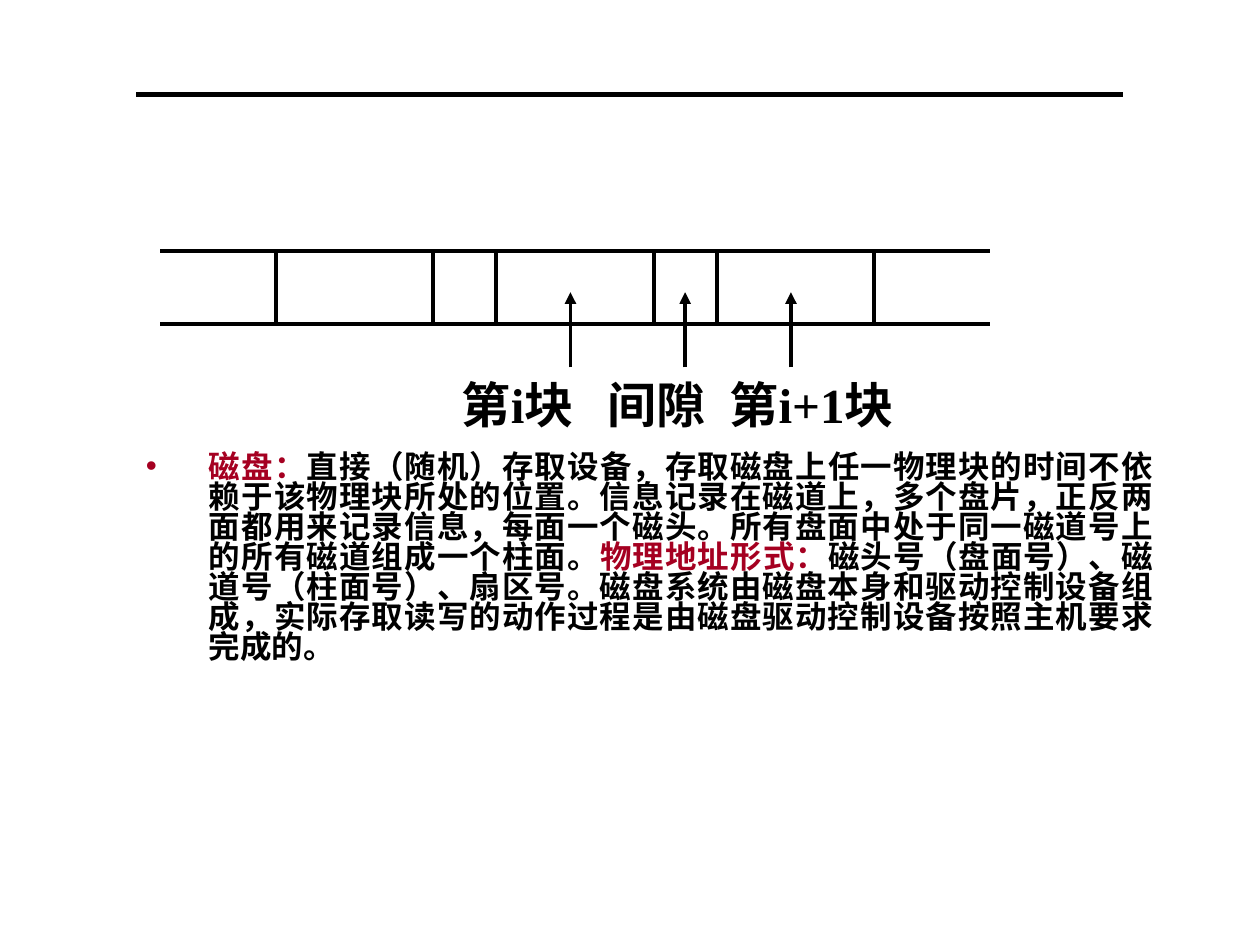
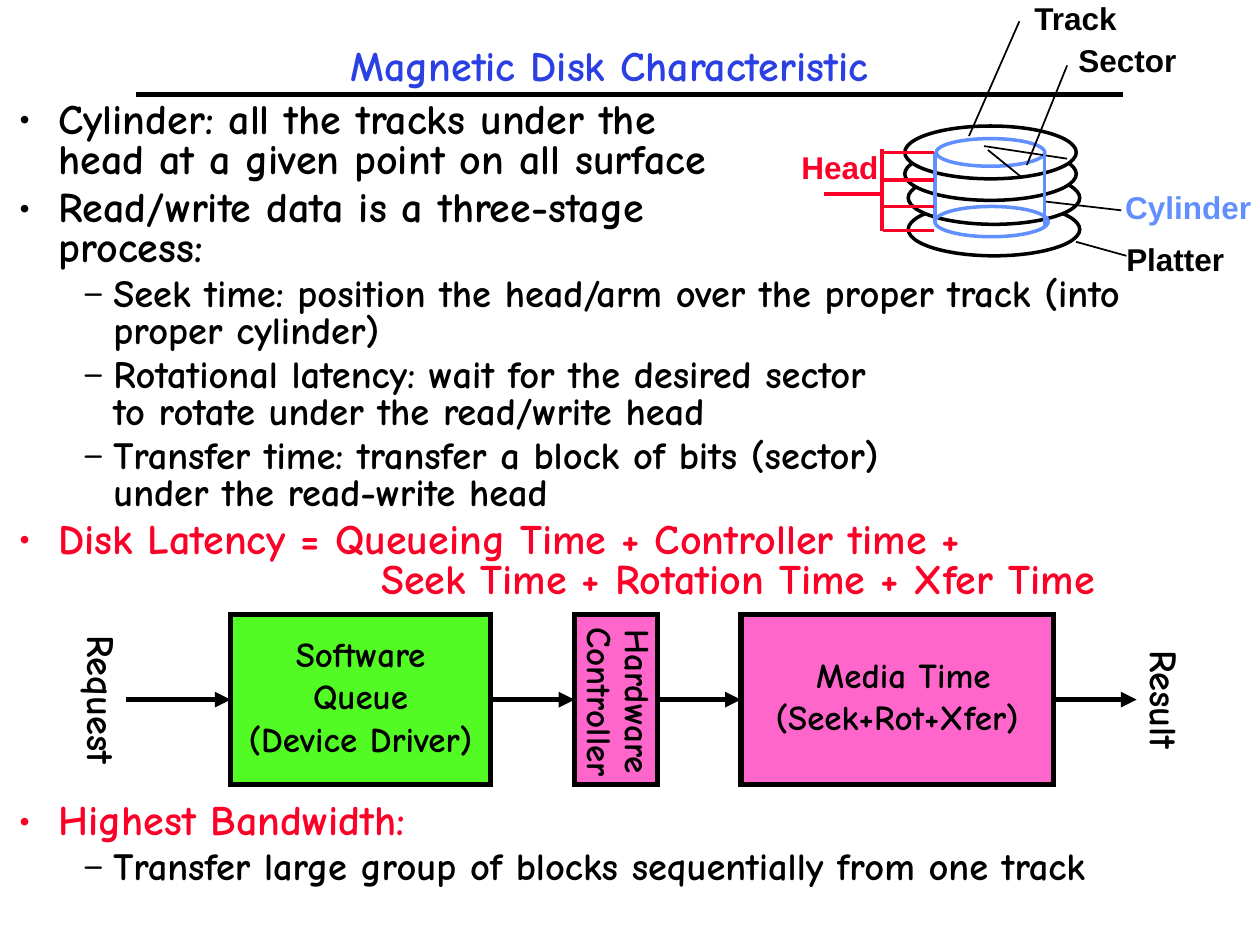
from dataclasses import dataclass
from itertools import pairwise

from lxml import etree
from pptx import Presentation
from pptx import util as u
from pptx.dml.color import RGBColor
from pptx.enum import shapes, text
from pptx.oxml.ns import qn

Pt = u.Pt
ALIGN = text.PP_ALIGN

COLORS = {
    "ink": "000000", "paper": "FFFFFF", "crimson": "A50021", "title": "2A40E2",
    "red": "FC0128", "cylinder": "618FFD", "green": "53FB25", "pink": "FF66CC",
}
COMIC, CJK, SERIF, SANS = "Comic Neue", "Noto Sans CJK SC", "Times New Roman", "Arial"
WIDE_INSETS = (7.2, 3.6)
TIGHT_INSETS = (5, 2.5)


@dataclass(frozen=True)
class Box:
    left: float
    top: float
    width: float
    height: float

    def lengths(self) -> tuple:
        return Pt(self.left), Pt(self.top), Pt(self.width), Pt(self.height)


@dataclass(frozen=True)
class Line:
    start: tuple[float, float]
    end: tuple[float, float]
    color: str = "ink"
    weight: float = 1
    arrow: bool = False


@dataclass(frozen=True)
class Paragraph:
    runs: tuple[tuple[str, str], ...]  # (wording, color name)
    size: float
    font: str = COMIC
    align: ALIGN = ALIGN.LEFT
    spacing: float | u.Length = 0.8
    before: float = 0
    bullet: str = ""
    bullet_color: str = "ink"
    bullet_font: str = COMIC
    margin: float = 0
    hanging: float = 0
    tab: float = 0


@dataclass(frozen=True)
class Label:
    wording: str
    box: Box
    color: str = "ink"


@dataclass(frozen=True)
class Pointer:
    wording: str
    arrow_x: float
    left: float
    width: float


@dataclass(frozen=True)
class Stage:
    lines: tuple[str, ...]
    left: float
    width: float
    fill: str
    vertical: bool = False


def rgb(name: str) -> RGBColor:
    return RGBColor.from_string(COLORS[name])


def add_line(slide, line: Line):
    connector = slide.shapes.add_connector(
        shapes.MSO_CONNECTOR.STRAIGHT, *(Pt(value) for value in line.start + line.end))
    connector.line.color.rgb = rgb(line.color)
    connector.line.width = Pt(line.weight)
    properties = connector._element.find(qn("p:spPr"))
    if line.arrow:
        etree.SubElement(properties.find(qn("a:ln")), qn("a:tailEnd"), type="triangle")
    etree.SubElement(properties, qn("a:effectLst"))
    return connector


def add_shape(slide, kind, box: Box, fill: str = "", color: str = "ink", weight: float = 2):
    shape = slide.shapes.add_shape(kind, *box.lengths())
    shape.shadow.inherit = False
    if fill:
        shape.fill.solid()
        shape.fill.fore_color.rgb = rgb(fill)
    else:
        shape.fill.background()
    shape.line.color.rgb = rgb(color)
    shape.line.width = Pt(weight)
    outline = shape._element.find(qn("p:spPr")).find(qn("a:ln"))
    etree.SubElement(outline, qn("a:miter"), lim="800000")
    return shape


def add_run(paragraph, wording: str, color: str, style: Paragraph) -> None:
    run = paragraph.add_run()
    run.text = wording
    run.font.size = Pt(style.size)
    run.font.bold = True
    run.font.name = style.font
    run.font.color.rgb = rgb(color)
    east_asian = CJK if style.font == SERIF else style.font
    etree.SubElement(run._r.get_or_add_rPr(), qn("a:ea"), typeface=east_asian)


def write(shape, paragraphs: list[Paragraph], insets=TIGHT_INSETS, wrap=True,
          anchor=text.MSO_ANCHOR.TOP) -> None:
    frame = shape.text_frame
    frame.word_wrap = wrap
    frame.vertical_anchor = anchor
    frame.margin_left = frame.margin_right = Pt(insets[0])
    frame.margin_top = frame.margin_bottom = Pt(insets[1])
    for index, style in enumerate(paragraphs):
        paragraph = frame.add_paragraph() if index else frame.paragraphs[0]
        paragraph.alignment = style.align
        paragraph.line_spacing = style.spacing
        paragraph.space_before = Pt(style.before)
        properties = paragraph._p.get_or_add_pPr()
        properties.set("marL", str(Pt(style.margin)))
        properties.set("indent", str(Pt(-style.hanging)))
        if style.bullet:
            color = etree.SubElement(properties, qn("a:buClr"))
            etree.SubElement(color, qn("a:srgbClr"), val=COLORS[style.bullet_color])
            etree.SubElement(properties, qn("a:buFont"), typeface=style.bullet_font)
            etree.SubElement(properties, qn("a:buChar"), char=style.bullet)
        if style.tab:
            tabs = etree.SubElement(properties, qn("a:tabLst"))
            etree.SubElement(tabs, qn("a:tab"), pos=str(Pt(style.tab)), algn="l")
        for wording, color in style.runs:
            for part_index, part in enumerate(wording.split("\n")):
                if part_index:
                    paragraph.add_line_break()
                add_run(paragraph, part, color, style)


def add_text(slide, box: Box, paragraphs: list[Paragraph], insets=TIGHT_INSETS, wrap=True,
             anchor=text.MSO_ANCHOR.TOP):
    shape = slide.shapes.add_textbox(*box.lengths())
    write(shape, paragraphs, insets, wrap, anchor)
    return shape


def add_page(presentation):
    """Blank slide with the shared rule under the title area."""
    slide = presentation.slides.add_slide(presentation.slide_layouts[6])
    add_line(slide, Line((78, 54), (642, 54), weight=3))
    return slide


# Slide 1: blocks on a strip, and the disk paragraph
STRIP_TOP, STRIP_HEIGHT, STRIP_LEFT = 143.3, 41.8, 157.5
BLOCK, GAP, RAIL = 90, 36, 66
POINTERS = (
    Pointer("第i块", 326, 264, 80),
    Pointer("间隙", 391.5, 347.4, 62),
    Pointer("第i+1块", 452, 417, 114),
)
DISK_RUNS = (
    ("磁盘：", "crimson"),
    ("直接（随机）存取设备，存取磁盘上任一物理块的时间不依赖于该物理块所处的位置。"
     "信息记录在磁道上，多个盘片，正反两面都用来记录信息，每面一个磁头。"
     "所有盘面中处于同一磁道号上的所有磁道组成一个柱面。", "ink"),
    ("物理地址形式：", "crimson"),
    ("磁头号（盘面号）、磁道号（柱面号）、扇区号。磁盘系统由磁盘本身和驱动控制设备组成，"
     "实际存取读写的动作过程是由磁盘驱动控制设备按照主机要求完成的。", "ink"),
)


def build_block_slide(presentation) -> None:
    slide = add_page(presentation)
    add_text(slide, Box(76.3, 256, 589.7, 228), [Paragraph(
        DISK_RUNS, 18, CJK, ALIGN.JUSTIFY, Pt(17.2), bullet="•", bullet_color="crimson",
        bullet_font=SANS, margin=36, hanging=36)], WIDE_INSETS)

    # Alternating blocks and gaps
    left = STRIP_LEFT
    for width in (BLOCK, GAP, BLOCK, GAP, BLOCK):
        add_shape(slide, shapes.MSO_SHAPE.RECTANGLE,
                  Box(left, STRIP_TOP, width, STRIP_HEIGHT), "paper", weight=2.25)
        left += width
    for y in (STRIP_TOP, STRIP_TOP + STRIP_HEIGHT):
        for x, outer in ((STRIP_LEFT, STRIP_LEFT - RAIL), (left, left + RAIL)):
            add_line(slide, Line((x, y), (outer, y), weight=2.25))

    # Pointers, each ending above its caption
    for pointer in POINTERS:
        x = pointer.arrow_x
        add_line(slide, Line((x, 210), (x, 167), weight=2.25, arrow=True))
        add_text(slide, Box(pointer.left, 212, pointer.width, 38), [Paragraph(
            ((pointer.wording, "ink"),), 28, SERIF, spacing=1.0)],
            (0, 0), anchor=text.MSO_ANCHOR.MIDDLE)


# Slide 2: disk characteristics
def point(wording: str, color: str = "ink", before: float = 4.5, tab: float = 0) -> Paragraph:
    return Paragraph(((wording, color),), 24, before=before, bullet="•", bullet_color=color,
                     margin=22.5, hanging=22.5, tab=tab)


def detail(wording: str) -> Paragraph:
    return Paragraph(((wording, "ink"),), 22, before=4.1, bullet="–", margin=54, hanging=18)


CHARACTERISTICS = [
    point("Cylinder: all the tracks under the\nhead at a given point on all surface"),
    point("Read/write data is a three-stage\nprocess:"),
    detail("Seek time: position the head/arm over the proper track (into proper cylinder)"),
    detail("Rotational latency: wait for the desired sector\n"
           "to rotate under the read/write head"),
    detail("Transfer time: transfer a block of bits (sector)\nunder the read-write head"),
    point("Disk Latency = Queueing Time + Controller time +\n"
          "\tSeek Time + Rotation Time + Xfer Time", "red", tab=207),
    point("Highest Bandwidth:", "red", before=114.8),
    detail("Transfer large group of blocks sequentially from one track"),
]
PLATTERS = ((519, 116), (519, 98), (517, 84.3), (517, 72))
CYLINDER_ENDS = (Box(534.2, 118, 64.8, 17.3), Box(535, 79.2, 62, 15.8))
DISK_LINES = (
    Line((564.5, 85.7), (583.2, 100.8)),
    Line((562.3, 83.5), (609.8, 90.7)),
    Line((586.8, 94.3), (609.8, 37.4)),
    Line((553.7, 77.8), (582.5, 12.2)),
    Line((597.6, 115.2), (640.8, 120.2)),
    Line((614.9, 138.2), (643.7, 146.2)),
    Line((534.2, 87.1), (534.2, 126.7), "cylinder", 2),
    Line((597, 87.1), (597, 130.3), "cylinder", 2),
    Line((504, 85), (504, 131.8), "red", 2),
    Line((504.5, 110.9), (470.9, 110.9), "red", 2),
) + tuple(Line((504.5, y), (534, y), "red", 2) for y in (87.1, 103, 118.1, 131.8))
DISK_LABELS = (
    Label("Sector", Box(611.3, 24.5, 66.2, 22.3)),
    Label("Track", Box(586.1, 0, 58.3, 22.3)),
    Label("Cylinder", Box(638, 108.2, 82, 22.3), "cylinder"),
    Label("Head", Box(453, 85.2, 54, 22.3), "red"),
    Label("Platter", Box(638.6, 137.7, 66.2, 22.3)),
)
STAGES = (
    Stage(("Software", "Queue", "(Device Driver)"), 131.8, 148.5, "green"),
    Stage(("Hardware", "Controller"), 328.3, 47.5, "pink", vertical=True),
    Stage((" Media Time", "(Seek+Rot+Xfer)"), 423.4, 178.6, "pink"),
)
STAGE_TOP, STAGE_HEIGHT = 351.2, 97.2
FLOW_Y = STAGE_TOP + STAGE_HEIGHT / 2


def add_stage(slide, stage: Stage):
    shape = add_shape(slide, shapes.MSO_SHAPE.RECTANGLE,
                      Box(stage.left, STAGE_TOP, stage.width, STAGE_HEIGHT), stage.fill, weight=3)
    before = 2.5 if stage.vertical else 5
    insets = WIDE_INSETS[::-1] if stage.vertical else WIDE_INSETS
    write(shape, [Paragraph(((line, "ink"),), 20, align=ALIGN.CENTER, before=before)
                  for line in stage.lines], insets, False, text.MSO_ANCHOR.MIDDLE)
    if stage.vertical:
        shape.text_frame._txBody.find(qn("a:bodyPr")).set("vert", "eaVert")
    return shape


def build_disk_slide(presentation) -> None:
    slide = add_page(presentation)
    add_text(slide, Box(174.2, 23.3, 347.8, 30.2), [Paragraph(
        (("Magnetic Disk Characteristic", "title"),), 24, align=ALIGN.CENTER, spacing=0.9)])
    add_text(slide, Box(5.8, 55.7, 707.8, 480), CHARACTERISTICS)

    # Disk drawing
    for left, top in PLATTERS:
        add_shape(slide, shapes.MSO_SHAPE.OVAL, Box(left, top, 98, 30.2), "paper")
    for box in CYLINDER_ENDS:
        add_shape(slide, shapes.MSO_SHAPE.OVAL, box, color="cylinder")
    for line in DISK_LINES:
        add_line(slide, line)
    for label in DISK_LABELS:
        add_text(slide, label.box, [Paragraph(((label.wording, label.color),), 18, SANS,
                                              spacing=0.85)], wrap=False)

    # Request flow
    boxes = [add_stage(slide, stage) for stage in STAGES]
    for source, target in pairwise([None, *boxes, None]):
        arrow = add_line(slide, Line((72, FLOW_Y), (649.5, FLOW_Y), weight=3, arrow=True))
        if source is not None:
            arrow.begin_connect(source, 3)
        if target is not None:
            arrow.end_connect(target, 1)
    for wording, center in (("Request", 56.2), ("Result", 663.5)):
        label = add_text(slide, Box(center - 54, 385.9, 108, 28), [Paragraph(
            ((wording, "ink"),), 22, align=ALIGN.CENTER, before=5.5)], WIDE_INSETS, False)
        label.rotation = 90


def main() -> None:
    presentation = Presentation()
    presentation.slide_width, presentation.slide_height = Pt(720), Pt(540)
    build_block_slide(presentation)
    build_disk_slide(presentation)
    presentation.save("out.pptx")


if __name__ == "__main__":
    main()
